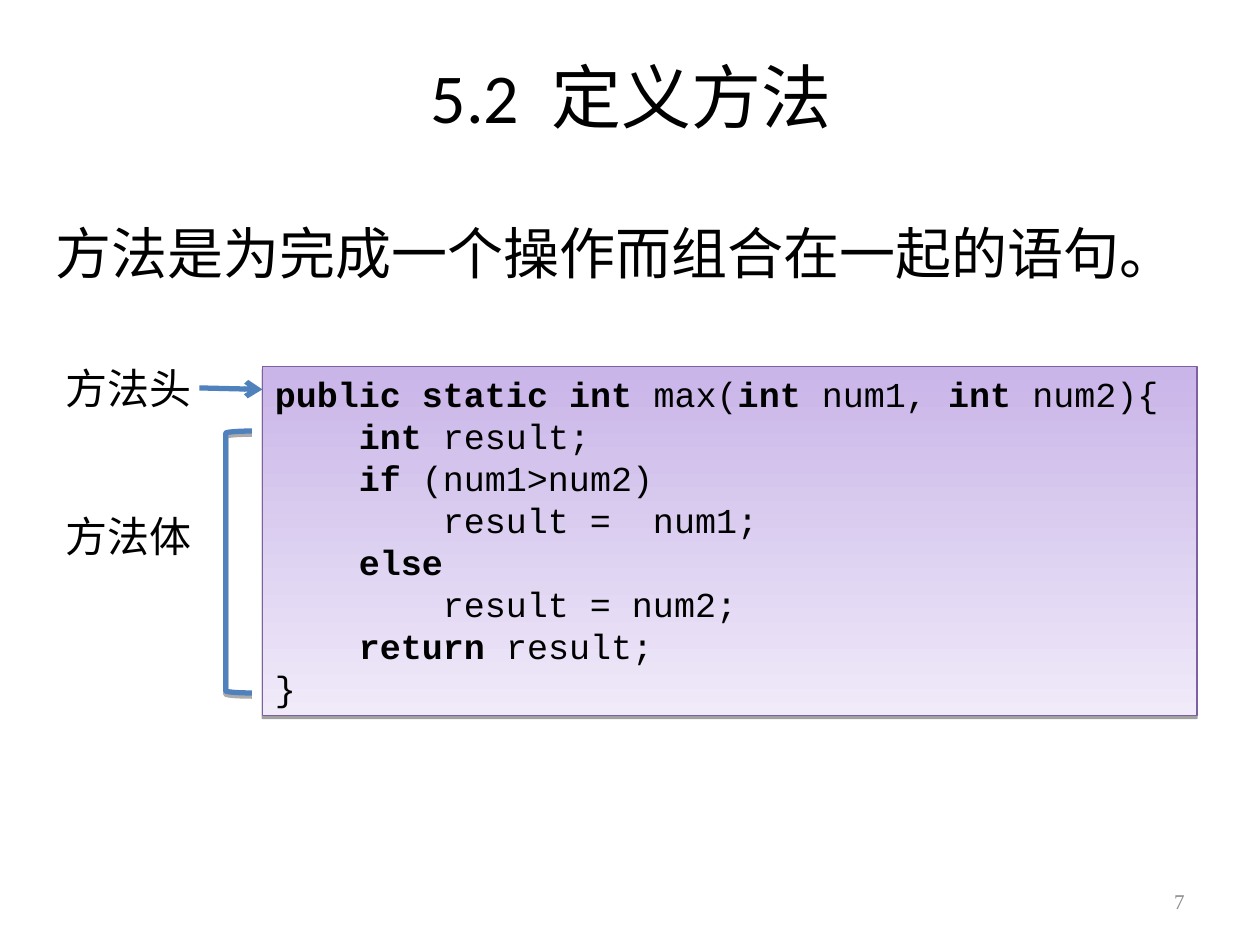
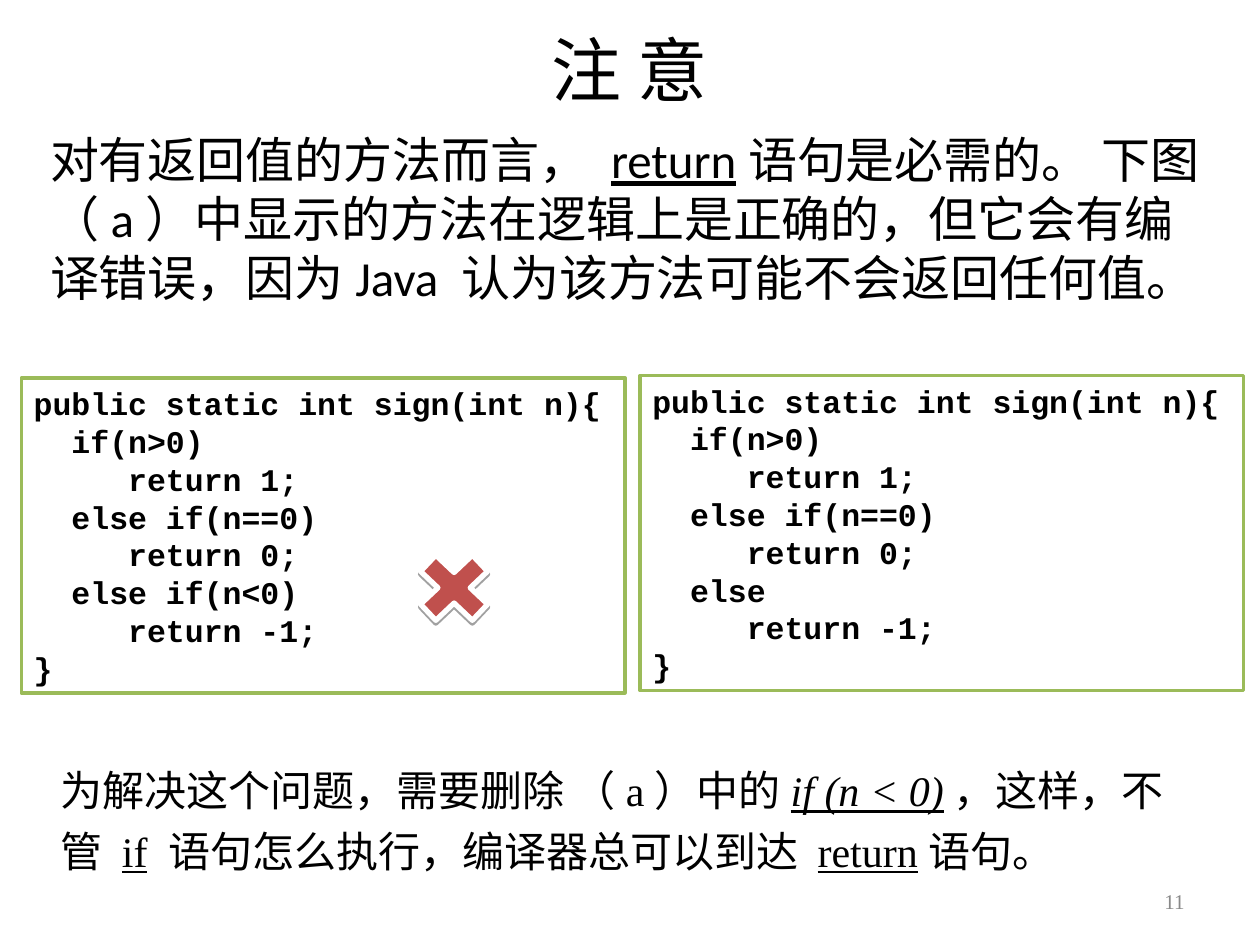
from lxml import etree
from pptx import Presentation
from pptx import util as u
from pptx.dml.color import RGBColor
from pptx.enum import shapes, text
from pptx.oxml import ns

BLACK = RGBColor(0x00, 0x00, 0x00)
WHITE = RGBColor(0xFF, 0xFF, 0xFF)
GREY = RGBColor(0x89, 0x89, 0x89)
BLUE = RGBColor(0x4F, 0x81, 0xBD)
GREEN = RGBColor(0x9B, 0xBB, 0x59)
RED = RGBColor(0xC0, 0x50, 0x4D)
PURPLE = RGBColor(0x7D, 0x60, 0xA0)
LILAC = RGBColor(0xC9, 0xB5, 0xE8)
PALE_LILAC = RGBColor(0xF0, 0xEA, 0xF9)

HEADING = "Calibri"
BODY = "Times New Roman"
CODE = "Courier New"

MAX_METHOD = [
    (0, [("public static int ", "b"), ("max(", ""), ("int", "b"), (" num1,", ""),
         (" int ", "b"), ("num2){", "")]),
    (4, [("int", "b"), (" result;", "")]),
    (4, [("if", "b"), (" (num1>num2)", "")]),
    (8, [("result =  num1;", "")]),
    (4, [("else", "b")]),
    (8, [("result = num2;", "")]),
    (4, [("return", "b"), (" result;", "")]),
    (0, [("}", "")]),
]


def sign_method(last_branch):
    lines = [(0, "public static int sign(int n){"), (2, "if(n>0)"), (5, "return 1;"),
             (2, "else if(n==0)"), (5, "return 0;"), (2, last_branch),
             (5, "return -1;"), (0, "}")]
    return [(indent, [(line, "b")]) for indent, line in lines]


def place(left, top, width, height):
    return u.Cm(left), u.Cm(top), u.Cm(width), u.Cm(height)


def set_font(para, name, size, color=BLACK):
    para.font.name = name
    para.font.size = u.Pt(size)
    para.font.color.rgb = color


def add_spans(para, spans):
    for words, style in spans:
        span = para.add_run()
        span.text = words
        if "b" in style:
            span.font.bold = True
        if "i" in style:
            span.font.italic = True
        if "u" in style:
            span.font.underline = True


def add_title(page, words, box):
    title = page.shapes.title
    title.left, title.top, title.width, title.height = place(*box)
    frame = title.text_frame
    frame.auto_size = text.MSO_AUTO_SIZE.NONE
    frame.vertical_anchor = text.MSO_ANCHOR.MIDDLE
    para = frame.paragraphs[0]
    para.text = words
    para.alignment = text.PP_ALIGN.CENTER
    set_font(para, HEADING, 40)


def add_text(page, spans, box, size, font=BODY, color=BLACK):
    frame = page.shapes.add_textbox(*place(*box)).text_frame
    frame.word_wrap = True
    para = frame.paragraphs[0]
    add_spans(para, spans)
    set_font(para, font, size, color)
    return frame


def add_page_number(page, number):
    frame = add_text(page, [(number, "")], (18.21, 17.65, 5.92, 1.02), 12, color=GREY)
    frame.vertical_anchor = text.MSO_ANCHOR.MIDDLE
    frame.paragraphs[0].alignment = text.PP_ALIGN.RIGHT


def add_plain_shape(page, kind, box, line_color, line_width):
    shape = page.shapes.add_shape(kind, *place(*box))
    shape.shadow.inherit = False
    shape.line.color.rgb = line_color
    shape.line.width = u.Pt(line_width)
    return shape


def add_shadow(shape, opacity, distance):
    effects = shape._element.spPr.find(ns.qn("a:effectLst"))
    shadow = etree.SubElement(effects, ns.qn("a:outerShdw"), blurRad="0",
                              dist=str(u.Pt(distance)), dir="5400000", rotWithShape="0")
    color = etree.SubElement(shadow, ns.qn("a:srgbClr"), val=str(BLACK))
    etree.SubElement(color, ns.qn("a:alpha"), val=str(opacity * 1000))


def add_code(page, lines, box, size, line_color, line_width):
    panel = add_plain_shape(page, shapes.MSO_SHAPE.RECTANGLE, box, line_color, line_width)
    panel.fill.solid()
    panel.fill.fore_color.rgb = WHITE
    frame = panel.text_frame
    frame.word_wrap = True
    frame.vertical_anchor = text.MSO_ANCHOR.TOP
    for index, (indent, spans) in enumerate(lines):
        para = frame.add_paragraph() if index else frame.paragraphs[0]
        para.alignment = text.PP_ALIGN.LEFT
        add_spans(para, spans)
        set_font(para, CODE, size)
        if indent:
            para._p.get_or_add_pPr().set("marL", str(u.Pt(indent * size * 0.6)))
    return panel


def add_arrow(page, left, top, right, bottom):
    arrow = page.shapes.add_connector(shapes.MSO_CONNECTOR.STRAIGHT,
                                      *place(left, top, right, bottom))
    arrow.line.color.rgb = BLUE
    arrow.line.width = u.Pt(3)
    etree.SubElement(arrow.line._get_or_add_ln(), ns.qn("a:tailEnd"), type="arrow")
    etree.SubElement(arrow._element.spPr, ns.qn("a:effectLst"))


def add_annotated_method(page, left, top, width, height):
    panel = add_code(page, MAX_METHOD, (left + 4.22, top, width - 4.22, height),
                     20, PURPLE, 0.75)
    panel.fill.gradient()
    panel.fill.gradient_angle = 270
    for stop, color in zip(panel.fill.gradient_stops, (LILAC, PALE_LILAC)):
        stop.color.rgb = color
    add_shadow(panel, 36, 1.6)

    for label, offset in (("方法头", -0.2), ("方法体", 2.77)):
        add_text(page, [(label, "")], (left, top + offset, 3.81, 1.27), 24)
    add_arrow(page, left + 2.95, top + 0.43, left + 4.22, top + 0.46)
    bracket = add_plain_shape(page, shapes.MSO_SHAPE.LEFT_BRACKET,
                              (left + 3.48, top + 1.3, 0.53, 5.28), BLUE, 3)
    bracket.fill.background()
    add_shadow(bracket, 33, 1.8)


def add_sign_methods(page, left, top):
    width, height, step = 12.17, 6.35, 12.47
    for column, (branch, drop) in enumerate((("else if(n<0)", 0.05), ("else", 0))):
        box = (left + column * step, top + drop, width, height)
        add_code(page, sign_method(branch), box, 18, GREEN, 2)
    cross = add_plain_shape(page, shapes.MSO_SHAPE.MATH_MULTIPLY,
                            (left + 7.72, top + 3.33, 2.01, 1.9), WHITE, 3)
    cross.fill.solid()
    cross.fill.fore_color.rgb = RED
    add_shadow(cross, 36, 1.6)


def build_definition(page):
    add_title(page, "5.2 定义方法", (1.93, 1.19, 21.59, 1.47))
    add_page_number(page, "7")
    add_text(page, [("方法是为完成一个操作而组合在一起的语句。", "")],
             (0.86, 4.29, 23.5, 1.63), 32)
    add_annotated_method(page, 1.07, 7.39, 23.06, 7.04)


def build_notice(page):
    add_title(page, "注 意", (1.9, 0.43, 21.59, 1.9))
    add_text(page, [
        ("对有返回值的方法而言， ", ""), ("return", "u"),
        ("语句是必需的。 下图 （a）中显示的方法在逻辑上是正确的，"
         "但它会有编译错误，因为Java 认为该方法可能不会返回任何值。", ""),
    ], (0.76, 2.49, 23.9, 4.17), 28, HEADING)
    add_page_number(page, "11")
    remedy = add_text(page, [
        ("为解决这个问题，需要删除 （a）中的", ""), ("if (n < 0)", "iu"),
        ("，这样，不管 ", ""), ("if", "u"), (" 语句怎么执行，编译器总可以到达 ", ""),
        ("return", "u"), ("语句。", ""),
    ], (0.97, 15.09, 23.5, 3.9), 24)
    remedy.paragraphs[0].line_spacing = 1.2
    add_sign_methods(page, 0.43, 7.57)


def main():
    deck = Presentation()
    deck.slide_width, deck.slide_height = u.Cm(25.4), u.Cm(19.05)
    for build in (build_definition, build_notice):
        build(deck.slides.add_slide(deck.slide_layouts[5]))
    deck.save("out.pptx")


if __name__ == "__main__":
    main()
